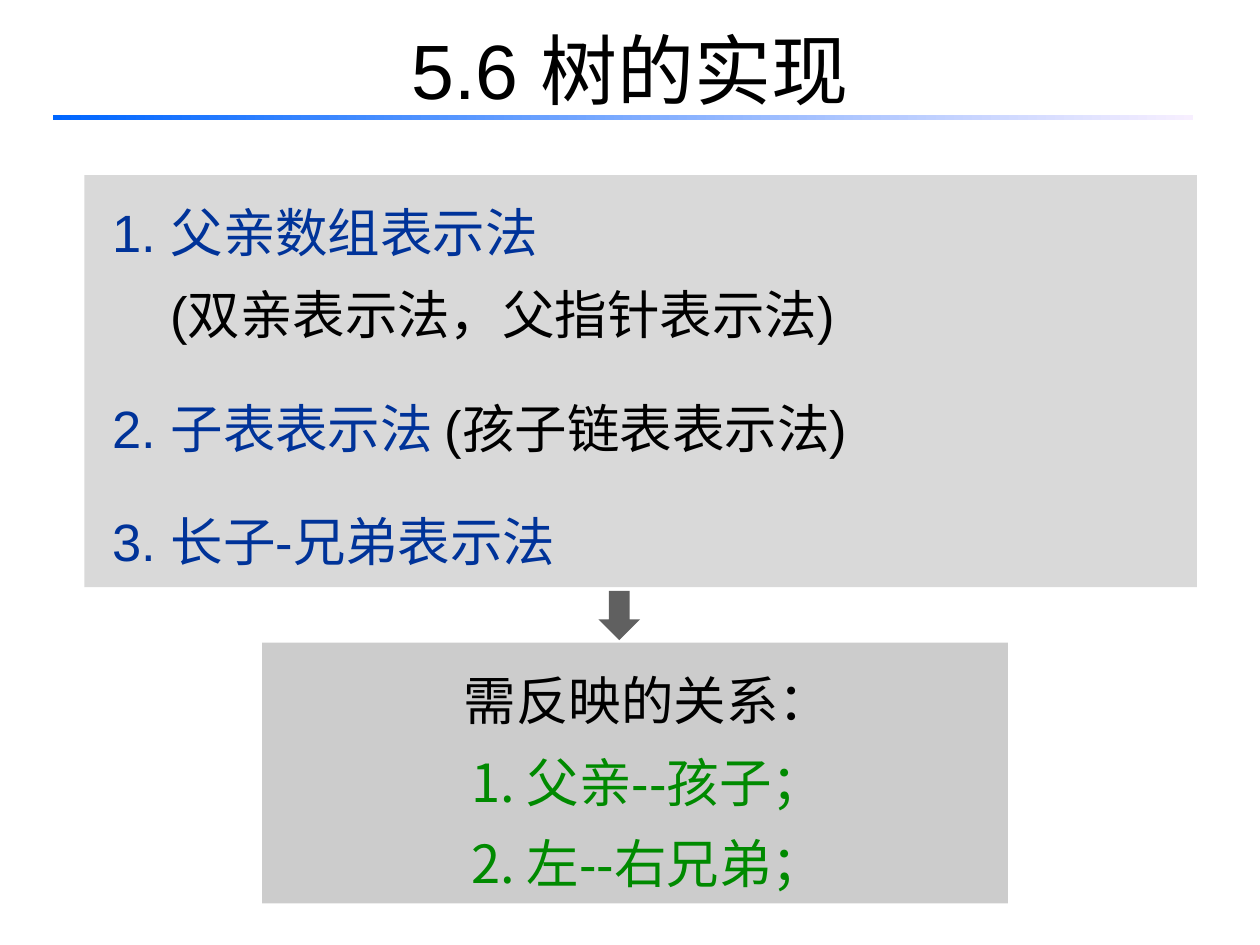
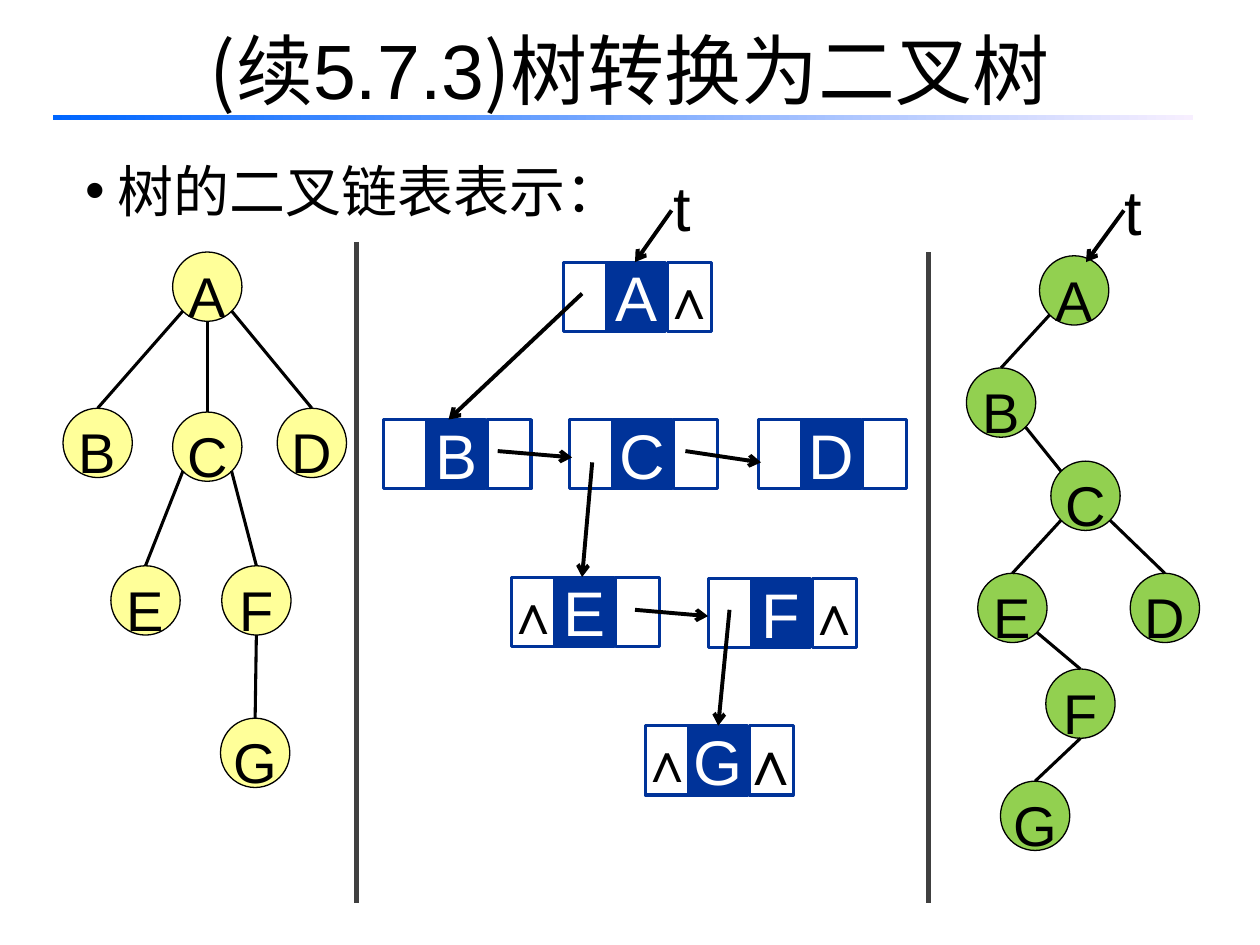
from dataclasses import dataclass
from typing import NamedTuple, Optional

from lxml.etree import SubElement
from pptx import Presentation
from pptx.dml.color import RGBColor
from pptx.enum.shapes import MSO_CONNECTOR, MSO_SHAPE
from pptx.enum.text import MSO_ANCHOR, MSO_AUTO_SIZE, PP_ALIGN
from pptx.oxml.ns import qn
from pptx.util import Inches, Length, Pt

COLUMNS, ROWS = 100, 75
SLIDE_WIDTH, SLIDE_HEIGHT = Inches(10), Inches(7.5)
LATIN, HAN = "Arial", "Noto Sans CJK SC"
BLACK, WHITE, BLUE, GREEN = "000000", "FFFFFF", "003399", "008A00"
YELLOW, LIME = "FFFF99", "92D050"
NODE = 5.5
FIELD_HEIGHT, LINK_WIDTH, DATA_WIDTH = 5.5, 3.5, 4.7
NULL = "∧"


class Box(NamedTuple):
    column: float
    row: float
    columns: float
    rows: float


class Point(NamedTuple):
    column: float
    row: float


class Run(NamedTuple):
    text: str
    size: float = 30
    color: str = BLACK
    font: str = LATIN
    bold: bool = False


@dataclass
class Para:
    runs: list[Run]
    align: PP_ALIGN = PP_ALIGN.LEFT
    spacing: float = 1.0
    before: float = 0
    margin: float = 0
    bullet: Optional[str] = None
    numbered: bool = False


class Edge(NamedTuple):
    parent: str
    port: str
    child: str
    child_port: str = "top"


@dataclass
class Tree:
    fill: str
    nodes: dict[str, Point]
    edges: list[Edge]


class Record(NamedTuple):
    letter: str
    corner: Point
    left: str = ""
    right: str = ""
    right_size: float = 32


PORTS = {
    "top": Point(0.5, 0),
    "top left": Point(0.15, 0.15),
    "left": Point(0.15, 0.85),
    "bottom": Point(0.5, 1),
    "right": Point(0.85, 0.85),
}

TITLE_BOX = Box(5, -0.8, 90, 12.5)
RULE_BOX = Box(4.2, 9.1, 90.5, 0.4)

GENERAL_TREE = Tree(
    YELLOW,
    {"A": Point(13.7, 20), "B": Point(5, 32.4), "C": Point(13.7, 32.7), "D": Point(22, 32.4),
     "E": Point(8.8, 44.9), "F": Point(17.6, 44.9), "G": Point(17.5, 57)},
    [Edge("A", "left", "B"), Edge("A", "bottom", "C"), Edge("A", "right", "D"),
     Edge("C", "left", "E"), Edge("C", "right", "F"), Edge("F", "bottom", "G")],
)
BINARY_TREE = Tree(
    LIME,
    {"A": Point(82.5, 20.3), "B": Point(76.7, 29.2), "C": Point(83.4, 36.6), "D": Point(89.7, 45.5),
     "E": Point(77.6, 45.5), "F": Point(83, 53.1), "G": Point(79.4, 62)},
    [Edge("A", "left", "B"), Edge("B", "right", "C", "top left"), Edge("C", "left", "E"),
     Edge("C", "right", "D"), Edge("E", "right", "F"), Edge("F", "bottom", "G")],
)
RECORDS = [
    Record("A", Point(44.7, 20.8), right=NULL),
    Record("B", Point(30.4, 33.3)),
    Record("C", Point(45.2, 33.3)),
    Record("D", Point(60.2, 33.3)),
    Record("E", Point(40.6, 45.8), left=NULL),
    Record("F", Point(56.2, 45.9), right=NULL),
    Record("G", Point(51.2, 57.6), left=NULL, right=NULL, right_size=36),
]
POINTERS = [
    (Point(39.5, 35.8), Point(45.4, 36.3)),
    (Point(47, 36.7), Point(46.2, 45.8)),
    (Point(50.4, 48.4), Point(56.2, 48.9)),
    (Point(46.2, 23.3), Point(35.6, 33.3)),
    (Point(57.9, 48.4), Point(57, 57.6)),
    (Point(54.4, 35.8), Point(60.4, 36.7)),
    (Point(53.3, 16.7), Point(50.4, 20.8)),
    (Point(89.2, 16.7), Point(86.2, 20.8)),
]
ROOT_LABELS = [Box(52.5, 10.5, 10, 9.5), Box(88.3, 10.8, 10, 9.5)]
DIVIDERS = [(Point(28.3, 19.2), Point(28.3, 71.7)), (Point(73.7, 20), Point(73.7, 71.7))]


def rgb(color: str) -> RGBColor:
    return RGBColor.from_string(color)


def across(columns: float) -> Length:
    return Length(round(SLIDE_WIDTH * columns / COLUMNS))


def down(rows: float) -> Length:
    return Length(round(SLIDE_HEIGHT * rows / ROWS))


def place(box: Box) -> tuple[Length, Length, Length, Length]:
    return across(box.column), down(box.row), across(box.columns), down(box.rows)


def write(shape, paras: list[Para], anchor=MSO_ANCHOR.TOP, wrap: bool = True) -> None:
    frame = shape.text_frame
    frame.auto_size = MSO_AUTO_SIZE.NONE
    frame.word_wrap = wrap
    frame.vertical_anchor = anchor
    for index, para in enumerate(paras):
        paragraph = frame.add_paragraph() if index else frame.paragraphs[0]
        properties = paragraph._p.get_or_add_pPr()
        properties.set("marL", str(across(para.margin)))
        properties.set("indent", "0")
        if para.bullet:
            SubElement(properties, qn("a:buChar")).set("char", para.bullet)
        elif para.numbered:
            SubElement(properties, qn("a:buAutoNum")).set("type", "arabicPeriod")
        else:
            SubElement(properties, qn("a:buNone"))
        paragraph.alignment = para.align
        paragraph.line_spacing = para.spacing
        paragraph.space_before = Pt(para.before)
        for piece in para.runs:
            run = paragraph.add_run()
            run.text = piece.text
            run.font.size = Pt(piece.size)
            run.font.bold = piece.bold
            run.font.color.rgb = rgb(piece.color)
            run.font.name = piece.font
            SubElement(run._r.get_or_add_rPr(), qn("a:ea")).set("typeface", HAN)


def fit_placeholder(shape, box: Box) -> None:
    shape.left, shape.top, shape.width, shape.height = place(box)


def add_block(slide, kind, box: Box, fill: Optional[str] = None,
              line: Optional[str] = None, weight: float = 0.75):
    block = slide.shapes.add_shape(kind, *place(box))
    block.shadow.inherit = False
    if fill:
        block.fill.solid()
        block.fill.fore_color.rgb = rgb(fill)
    else:
        block.fill.background()
    if line:
        block.line.color.rgb = rgb(line)
        block.line.width = Pt(weight)
    else:
        block.line.fill.background()
    return block


def add_line(slide, start: Point, end: Point, weight: float,
             color: str = BLACK, arrow: bool = False) -> None:
    connector = slide.shapes.add_connector(
        MSO_CONNECTOR.STRAIGHT, across(start.column), down(start.row),
        across(end.column), down(end.row))
    connector.line.color.rgb = rgb(color)
    connector.line.width = Pt(weight)
    properties = connector._element.spPr
    if arrow:
        SubElement(properties.find(qn("a:ln")), qn("a:tailEnd")).set("type", "arrow")
    SubElement(properties, qn("a:effectLst"))


def add_page(deck, heading: list[Run]):
    slide = deck.slides.add_slide(deck.slide_layouts[1])
    fit_placeholder(slide.shapes.title, TITLE_BOX)
    write(slide.shapes.title, [Para(heading, PP_ALIGN.CENTER)], MSO_ANCHOR.MIDDLE)
    rule = add_block(slide, MSO_SHAPE.RECTANGLE, RULE_BOX)
    rule.fill.gradient()
    rule.fill.gradient_angle = 0
    for stop, color in zip(rule.fill.gradient_stops, ("0066FF", "F7EFFF")):
        stop.color.rgb = rgb(color)
    return slide


def add_tree(slide, tree: Tree) -> None:
    def port(letter: str, name: str) -> Point:
        corner, share = tree.nodes[letter], PORTS[name]
        return Point(corner.column + NODE * share.column, corner.row + NODE * share.row)

    for letter, corner in tree.nodes.items():
        node = add_block(slide, MSO_SHAPE.OVAL, Box(*corner, NODE, NODE), tree.fill, BLACK)
        write(node, [Para([Run(letter, 32)], PP_ALIGN.CENTER, 1.25)], MSO_ANCHOR.MIDDLE, False)
    for edge in tree.edges:
        add_line(slide, port(edge.parent, edge.port), port(edge.child, edge.child_port), 1.75)


def add_record(slide, record: Record) -> None:
    fields = [
        (8.25, LINK_WIDTH, None, Run(record.right, record.right_size, bold=True)),
        (3.45, DATA_WIDTH, BLUE, Run(record.letter, 36, WHITE)),
        (0, LINK_WIDTH, None, Run(record.left, 32, bold=True)),
    ]
    for offset, width, fill, content in fields:
        box = Box(record.corner.column + offset, record.corner.row, width, FIELD_HEIGHT)
        field = add_block(slide, MSO_SHAPE.RECTANGLE, box, fill, BLUE, 1.75)
        if content.text:
            write(field, [Para([content], PP_ALIGN.CENTER)], MSO_ANCHOR.MIDDLE, False)


def build_methods(deck) -> None:
    slide = add_page(deck, [Run("5.6 ", 44), Run("树的实现", 44, font=HAN)])
    methods = slide.placeholders[1]
    fit_placeholder(methods, Box(6.7, 13.9, 88.3, 32.7))
    methods.fill.solid()
    methods.fill.fore_color.rgb = rgb("D9D9D9")
    write(methods, [
        Para([Run("1. 父亲数组表示法", color=BLUE)], spacing=1.3, margin=1.2),
        Para([Run("(双亲表示法，父指针表示法)")], spacing=1.3, margin=5.8),
        Para([Run("2. 子表表示法 ", color=BLUE), Run("(孩子链表表示法)")],
             spacing=1.3, before=18, margin=1.2),
        Para([Run("3. 长子-兄弟表示法", color=BLUE)], spacing=1.3, before=18, margin=1.2),
    ])
    relations = add_block(slide, MSO_SHAPE.RECTANGLE, Box(20.8, 51, 59.2, 20.7), "CCCCCC")
    write(relations, [Para([Run("需反映的关系：")], PP_ALIGN.CENTER, 1.3, margin=2)] + [
        Para([Run(pair, color=GREEN)], PP_ALIGN.CENTER, 1.3, margin=2, numbered=True)
        for pair in (" 父亲--孩子；", " 左--右兄弟；")
    ])
    add_block(slide, MSO_SHAPE.DOWN_ARROW, Box(47.5, 46.9, 3.3, 3.9), "606060")


def build_conversion(deck) -> None:
    slide = add_page(deck, [Run("(续", 44, font=HAN), Run("5.7.3", 44),
                            Run(")树转换为二叉树", 44, font=HAN)])
    topic = slide.placeholders[1]
    fit_placeholder(topic, Box(5.8, 11.4, 91.7, 6.9))
    write(topic, [Para([Run(" 树的二叉链表表示：", 32)], spacing=1.1, bullet="•")])
    for tree in (GENERAL_TREE, BINARY_TREE):
        add_tree(slide, tree)
    for record in RECORDS:
        add_record(slide, record)
    for start, end in POINTERS:
        add_line(slide, start, end, 2.25, arrow=True)
    for start, end in DIVIDERS:
        add_line(slide, start, end, 3, "404040")
    for box in ROOT_LABELS:
        root = slide.shapes.add_textbox(*place(box))
        write(root, [Para([Run("t", 36)], spacing=1.4)])


def main() -> None:
    deck = Presentation()
    deck.slide_width, deck.slide_height = SLIDE_WIDTH, SLIDE_HEIGHT
    build_methods(deck)
    build_conversion(deck)
    deck.save("out.pptx")


if __name__ == "__main__":
    main()
